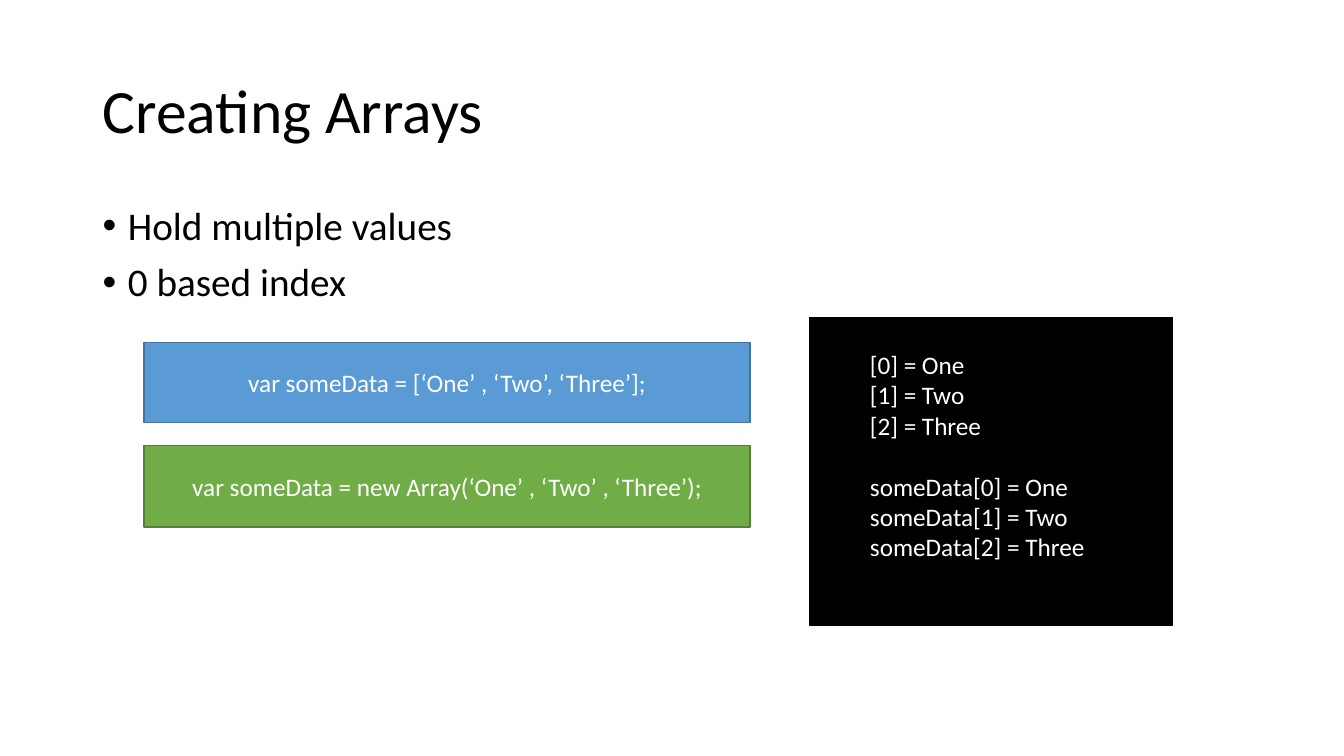
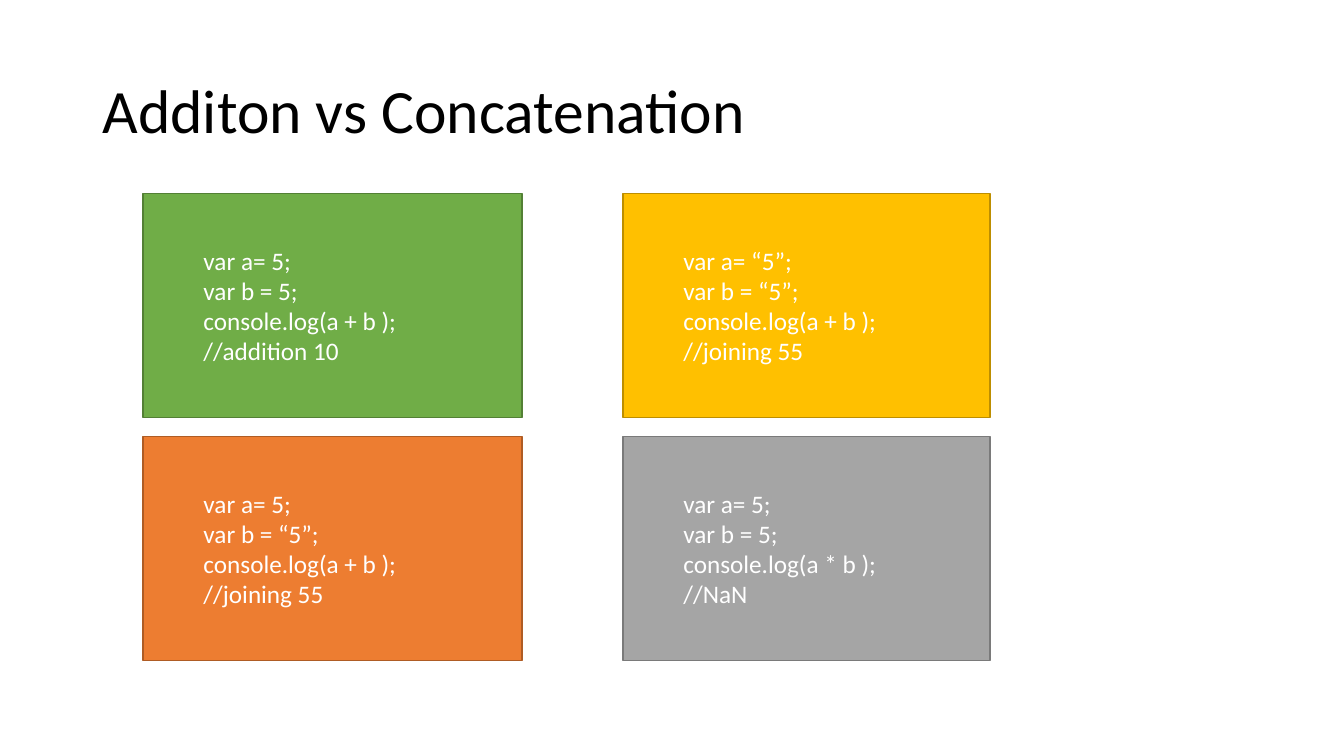
"""Build two slides on arrays and on addition against concatenation."""
import dataclasses
import itertools

import lxml.etree
import pptx
import pptx.dml.color
import pptx.enum.shapes
import pptx.enum.text
import pptx.oxml.ns
import pptx.util

Inches = pptx.util.Inches
Pt = pptx.util.Pt
ALIGN = pptx.enum.text.PP_ALIGN
ANCHOR = pptx.enum.text.MSO_ANCHOR

FONT = "Calibri"
COLORS = {
    "black": "000000", "white": "FFFFFF",
    "blue": "5B9BD5", "blue edge": "43739E",
    "green": "70AD47", "green edge": "538035",
    "gold": "FFC000", "gold edge": "BD8E00",
    "orange": "ED7D31", "orange edge": "AF5C24",
    "gray": "A5A5A5", "gray edge": "7A7A7A",
    "black edge": "000000",
}


@dataclasses.dataclass(frozen=True)
class Area:
    left: float
    top: float
    width: float
    height: float

    def spans(self) -> list[int]:
        return [Inches(n) for n in dataclasses.astuple(self)]


@dataclasses.dataclass(frozen=True)
class Style:
    size: int
    color: str = "black"
    align: ALIGN = ALIGN.LEFT
    spacing: float = 1.0
    before: int = 0
    margin: float = 0
    bullet: bool = False


@dataclasses.dataclass(frozen=True)
class Panel:
    area: Area
    color: str
    groups: list[list[str]]
    style: Style
    bottom: float = 0.05


TITLE = Style(44, spacing=0.9)
POINT = Style(28, spacing=0.9, before=10, margin=0.25, bullet=True)
CENTER = Style(18, "white", ALIGN.CENTER)
CODE = Style(18, "white", margin=0.5)
GAP = Pt(22)


def tint(name: str) -> pptx.dml.color.RGBColor:
    return pptx.dml.color.RGBColor.from_string(COLORS[name])


def write(frame, groups: list[list[str]], style: Style, anchor: ANCHOR) -> None:
    frame.word_wrap = True
    frame.vertical_anchor = anchor
    lines = [(group, row, text) for group, texts in enumerate(groups)
             for row, text in enumerate(texts)]
    for index, (group, row, text) in enumerate(lines):
        para = frame.add_paragraph() if index else frame.paragraphs[0]
        para.alignment = style.align
        para.line_spacing = style.spacing
        para.space_before = GAP if group and not row else Pt(style.before)
        props = para._p.get_or_add_pPr()
        props.set("marL", str(Inches(style.margin)))
        if style.bullet:
            props.set("indent", str(-Inches(style.margin)))
            for tag, key, value in (("a:buFont", "typeface", "Arial"),
                                    ("a:buChar", "char", "•")):
                mark = lxml.etree.SubElement(props, pptx.oxml.ns.qn(tag))
                mark.set(key, value)
        run = para.add_run()
        run.text = text
        run.font.name = FONT
        run.font.size = Pt(style.size)
        run.font.color.rgb = tint(style.color)


def label(slide, area: Area, lines: list[str], style: Style, anchor: ANCHOR) -> None:
    box = slide.shapes.add_textbox(*area.spans())
    write(box.text_frame, [lines], style, anchor)


def draw(slide, panel: Panel) -> None:
    kind = pptx.enum.shapes.MSO_SHAPE.RECTANGLE
    shape = slide.shapes.add_shape(kind, *panel.area.spans())
    shape.shadow.inherit = False
    shape.fill.solid()
    shape.fill.fore_color.rgb = tint(panel.color)
    shape.line.color.rgb = tint(f"{panel.color} edge")
    shape.line.width = Pt(1)
    shape.text_frame.margin_bottom = Inches(panel.bottom)
    write(shape.text_frame, panel.groups, panel.style, ANCHOR.MIDDLE)


def start(deck, title: str):
    slide = deck.slides.add_slide(deck.slide_layouts[6])
    label(slide, Area(0.92, 0.4, 11.5, 1.45), [title], TITLE, ANCHOR.MIDDLE)
    return slide


def arrays(deck) -> None:
    slide = start(deck, "Creating Arrays")
    label(slide, Area(0.92, 2, 11.5, 4.76),
          ["Hold multiple values", "0 based index"], POINT, ANCHOR.TOP)
    values = ["One", "Two", "Three"]
    output = [[f"{name}[{index}] = {value}" for index, value in enumerate(values)]
              for name in ("", "someData")]
    panels = [
        Panel(Area(1.43, 3.4, 6.01, 0.79), "blue",
              [["var someData = [‘One’ , ‘Two’, ‘Three’];"]], CENTER),
        Panel(Area(1.43, 4.42, 6.01, 0.81), "green",
              [["var someData = new Array(‘One’ , ‘Two’ , ‘Three’);"]], CENTER),
        Panel(Area(8.03, 3.15, 3.6, 3.05), "black", output, CODE, bottom=0.36),
    ]
    for panel in panels:
        draw(slide, panel)


def sums(deck) -> None:
    slide = start(deck, "Additon vs Concatenation")
    cells = itertools.product((1.92, 4.33), ((1.42, 3.76), (6.18, 3.64)))
    cases = [
        ("green", "5", "5", "+", "addition 10"),
        ("gold", "“5”", "“5”", "+", "joining 55"),
        ("orange", "5", "“5”", "+", "joining 55"),
        ("gray", "5", "5", "*", "NaN"),
    ]
    for (top, (left, width)), (color, a, b, sign, note) in zip(cells, cases):
        lines = [f"var a= {a};", f"var b = {b};",
                 f"console.log(a {sign} b );", f"//{note}"]
        draw(slide, Panel(Area(left, top, width, 2.22), color, [lines], CODE))


def main() -> None:
    deck = pptx.Presentation()
    deck.slide_width = Inches(13.33)
    deck.slide_height = Inches(7.5)
    arrays(deck)
    sums(deck)
    deck.save("out.pptx")


if __name__ == "__main__":
    main()
